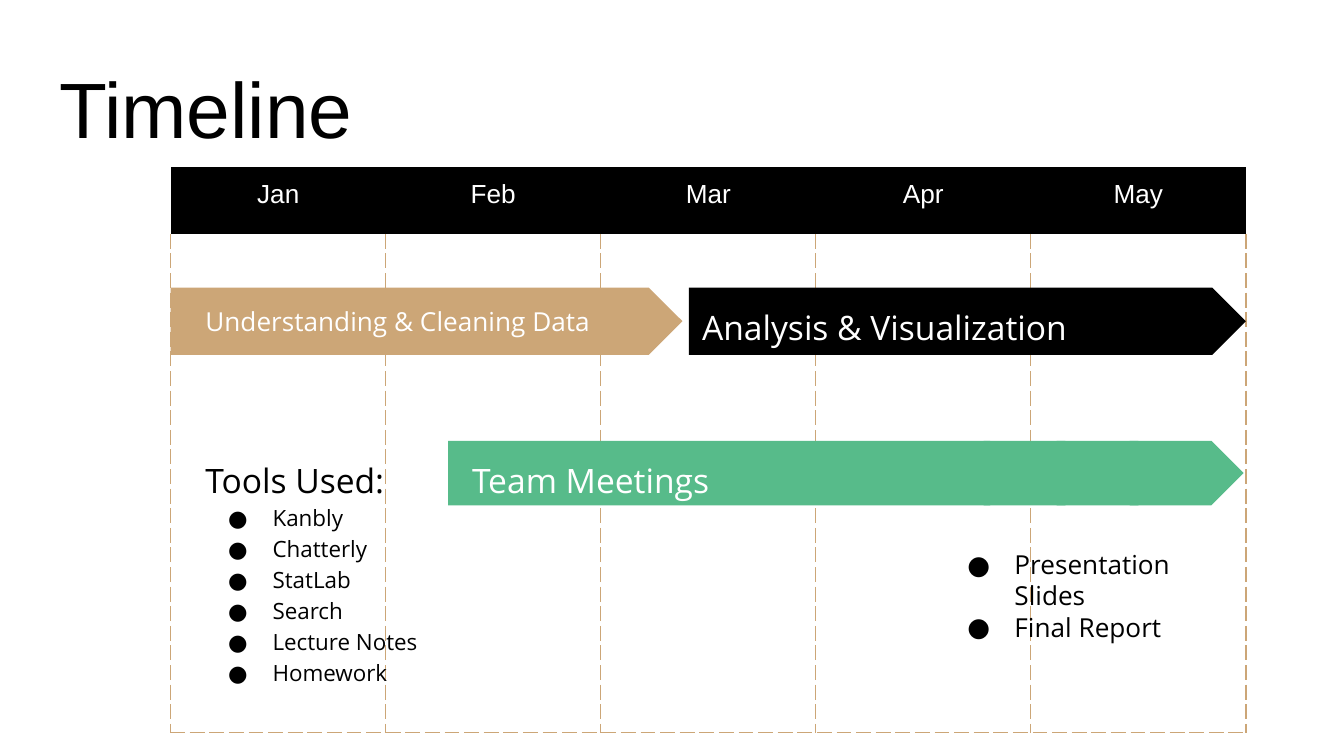
import pptx
import pptx.util
import pptx.dml.color
import pptx.enum.shapes
import pptx.enum.text
import pptx.oxml
import pptx.oxml.ns
import lxml.etree

THEME = {
    "black": pptx.dml.color.RGBColor.from_string("000000"),
    "white": pptx.dml.color.RGBColor.from_string("FFFFFF"),
    "tan": pptx.dml.color.RGBColor.from_string("CCA677"),
    "green": pptx.dml.color.RGBColor.from_string("57BB8A"),
    "head": "Arial", "body": "Open Sans",
    "title": 42, "large": 18, "medium": 14, "small": 12,
}
SHAPE = pptx.enum.shapes.MSO_SHAPE
ALIGN = pptx.enum.text.PP_ALIGN
ANCHOR = pptx.enum.text.MSO_ANCHOR
qn = pptx.oxml.ns.qn

# Widescreen slide, 16:9
prs = pptx.Presentation()
prs.slide_width = pptx.util.Inches(10)
prs.slide_height = prs.slide_width * 9 // 16
s = prs.slides.add_slide(prs.slide_layouts[6])

# Grid: one column per month, one row per header height
LEFT, TOP = pptx.util.Inches(1.27), pptx.util.Inches(1.24)
COL, ROW = pptx.util.Inches(1.6), pptx.util.Inches(0.5)
INSET = pptx.util.Inches(0.1)


def box(col, row, cols, rows):
    """Turn grid units into left, top, width and height."""
    return (LEFT + round(col * COL), TOP + round(row * ROW),
            round(cols * COL), round(rows * ROW))


def write(tf, lines, font, color, spacing=1.0, align=ALIGN.LEFT):
    """Fill a text frame with (text, size, bullet indent or None) lines."""
    for i, (text, size, indent) in enumerate(lines):
        p = tf.paragraphs[0] if i == 0 else tf.add_paragraph()
        p.alignment, p.line_spacing = align, spacing
        r = p.add_run()
        r.text = text
        look = {"name": THEME[font], "size": pptx.util.Pt(THEME[size])}
        for key, value in look.items():
            setattr(r.font, key, value)
        r.font.color.rgb = THEME[color]
        if indent:
            pPr = p._p.get_or_add_pPr()
            pPr.set("marL", str(pptx.util.Inches(0.5)))
            pPr.set("indent", str(-pptx.util.Inches(indent)))
            lxml.etree.SubElement(pPr, qn("a:buFont")).set("typeface", THEME[font])
            lxml.etree.SubElement(pPr, qn("a:buChar")).set("char", "●")


# Month table
months = ["Jan", "Feb", "Mar", "Apr", "May"]
rows = [1, 7.42]
table = s.shapes.add_table(2, len(months), *box(0, 0, len(months), sum(rows))).table
table.first_row = table.horz_banding = False
NO_STYLE = "{2D5ABB26-0587-4C30-8999-92F81FD0307C}"
table._tbl.tblPr.find(qn("a:tableStyleId")).text = NO_STYLE
for row, height in zip(table.rows, rows):
    row.height = round(height * ROW)
for i, month in enumerate(months):
    table.columns[i].width = COL
    head, body = table.cell(0, i), table.cell(1, i)
    for side in ("left", "right", "top", "bottom"):
        setattr(head, "margin_" + side, INSET)
    head.fill.solid()
    head.fill.fore_color.rgb = THEME["black"]
    write(head.text_frame, [(month, "medium", None)], "head", "white",
          align=ALIGN.CENTER)
    # Dashed borders, which come before the fill in the cell properties
    tcPr = body._tc.get_or_add_tcPr()
    for side in ("lnL", "lnR", "lnB"):
        ln = lxml.etree.SubElement(tcPr, qn("a:" + side))
        ln.set("w", str(pptx.util.Pt(0.75)))
        fill = lxml.etree.SubElement(ln, qn("a:solidFill"))
        lxml.etree.SubElement(fill, qn("a:srgbClr")).set("val", str(THEME["tan"]))
        lxml.etree.SubElement(ln, qn("a:prstDash")).set("val", "dash")
    body.fill.background()

# Phase arrows; chevrons extend the team meetings bar
arrows = [
    (SHAPE.PENTAGON, "tan", (0, 1.8, 2.38, 1)),
    (SHAPE.PENTAGON, "black", (2.41, 1.8, 2.59, 1)),
    (SHAPE.PENTAGON, "green", (1.29, 4.08, 2.67, 0.96)),
] + [(SHAPE.CHEVRON, "green", (3.78 + 0.34 * i, 4.08, 0.53, 0.96)) for i in range(3)]
for kind, color, place in arrows:
    sp = s.shapes.add_shape(kind, *box(*place))
    sp.shadow.inherit = False
    sp.adjustments[0] = 0.5
    sp.fill.solid()
    sp.fill.fore_color.rgb = THEME[color]
    sp.line.fill.background()

# Title, phase labels and lists
tools = ["Kanbly", "Chatterly", "StatLab", "Search", "Lecture Notes", "Homework"]
results = ["Presentation Slides", "Final Report"]
texts = [
    ((-0.58, -1.8, 5.83, 1.82), [("Timeline", "title", None)],
     "head", "black", 1.0, ANCHOR.BOTTOM),
    ((0.1, 1.8, 2.09, 1), [("Understanding & Cleaning Data", "medium", None)],
     "body", "white", 1.15, ANCHOR.TOP),
    ((2.41, 1.8, 1.88, 1), [("Analysis & Visualization", "large", None)],
     "body", "white", 1.15, ANCHOR.TOP),
    ((1.34, 4.08, 2.47, 1), [("Team Meetings", "large", None)],
     "body", "white", 1.15, ANCHOR.TOP),
    ((0.1, 4.08, 1.88, 4.24),
     [("Tools Used:", "large", None)] + [(t, "small", 0.33) for t in tools],
     "body", "black", 1.15, ANCHOR.TOP),
    ((3.55, 5.48, 1.44, 2.5), [(t, "medium", 0.35) for t in results],
     "body", "black", 1.0, ANCHOR.TOP),
]
for place, lines, font, color, spacing, anchor in texts:
    tf = s.shapes.add_textbox(*box(*place)).text_frame
    frame = {"word_wrap": True, "vertical_anchor": anchor, "margin_left": INSET,
             "margin_right": INSET, "margin_top": INSET, "margin_bottom": INSET}
    for key, value in frame.items():
        setattr(tf, key, value)
    write(tf, lines, font, color, spacing)

prs.save("out.pptx")
